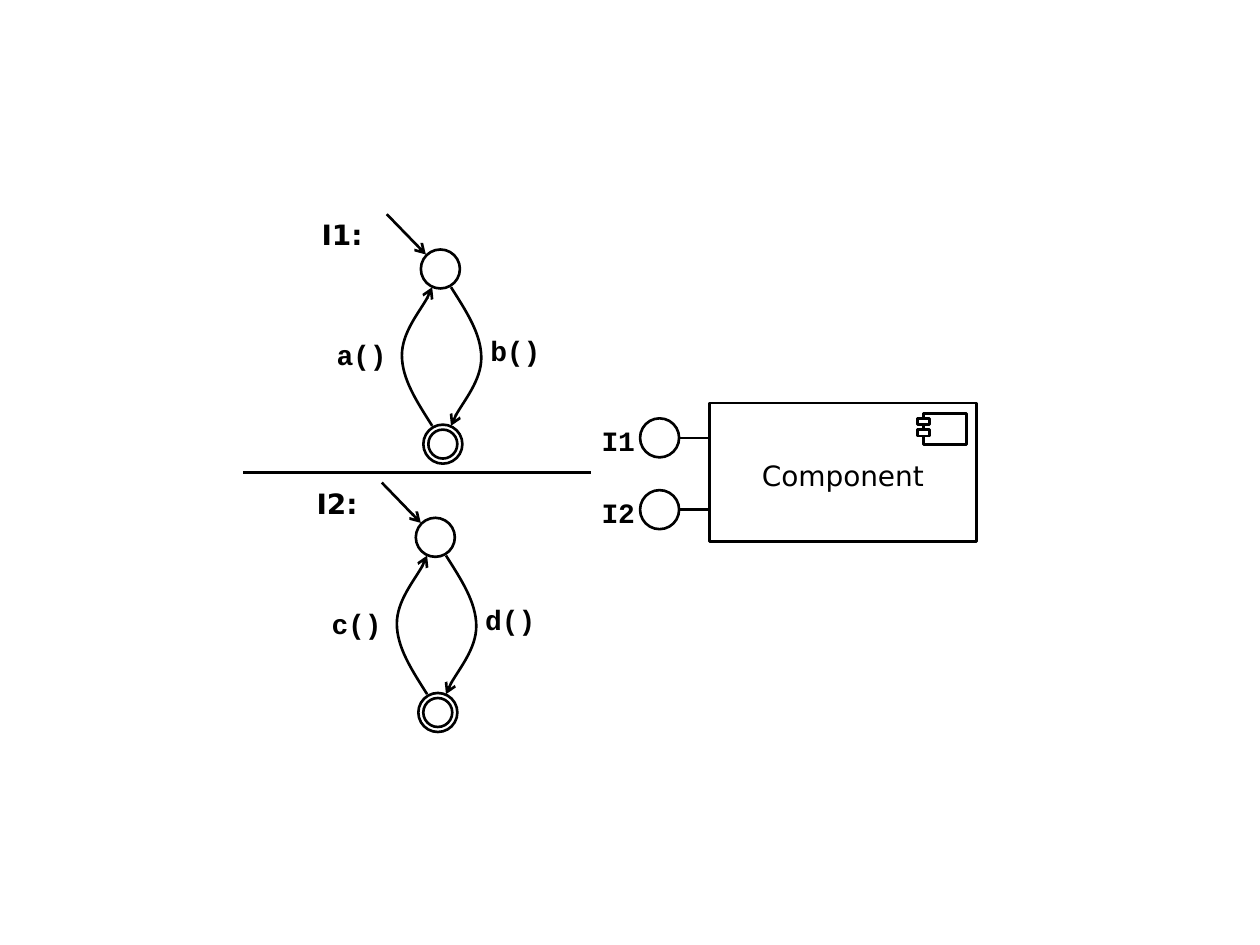
from pptx import Presentation
from pptx.dml.color import RGBColor
from pptx.enum.shapes import MSO_CONNECTOR, MSO_SHAPE
from pptx.enum.text import MSO_ANCHOR, MSO_AUTO_SIZE, PP_ALIGN
from pptx.oxml.ns import qn
from pptx.util import Inches, Pt
from lxml.etree import SubElement

BLACK = RGBColor(0, 0, 0)
WHITE = RGBColor(255, 255, 255)
MONO = "Courier New"
SANS = "DejaVu Sans"
NODE = 0.31
RING = 0.04
ARC = [(0, 0), (0.12, 0.19), (0.24, 0.37), (0.24, 0.56),
       (0.24, 0.74), (0.02, 1.01), (0, 1.1)]


def stroke(item, arrow=False):
    """Give an item the common black line, with an optional arrowhead."""
    item.line.color.rgb = BLACK
    item.line.width = Pt(1.5)
    if arrow:
        SubElement(item.line._get_or_add_ln(), qn("a:tailEnd"), type="arrow")


def shape(slide, kind, x, y, w, h, fill=None, line=True):
    """Add a preset shape without shadow."""
    item = slide.shapes.add_shape(kind, Inches(x), Inches(y), Inches(w), Inches(h))
    item.shadow.inherit = False
    if fill is None:
        item.fill.background()
    else:
        item.fill.solid()
        item.fill.fore_color.rgb = fill
    if line:
        stroke(item)
    else:
        item.line.fill.background()
    return item


def circle(slide, x, y, size=NODE):
    """Add an open circle."""
    return shape(slide, MSO_SHAPE.OVAL, x, y, size, size)


def line(slide, x1, y1, x2, y2, arrow=False):
    """Add a straight connector."""
    item = slide.shapes.add_connector(
        MSO_CONNECTOR.STRAIGHT, Inches(x1), Inches(y1), Inches(x2), Inches(y2))
    stroke(item, arrow)
    SubElement(item._element.spPr, qn("a:effectLst"))


def curve(slide, points):
    """Add a smooth arrow through cubic control points."""
    (x, y), *rest = [(Inches(px), Inches(py)) for px, py in points]
    form = slide.shapes.build_freeform(x, y)
    form.add_line_segments(rest, close=False)
    item = form.convert_to_shape()
    item.shadow.inherit = False
    item.fill.background()
    stroke(item, arrow=True)
    steps = list(item._element.iter(qn("a:lnTo")))
    route = steps[0].getparent()
    for i in range(0, len(steps), 3):
        bend = SubElement(route, qn("a:cubicBezTo"))
        for step in steps[i:i + 3]:
            bend.append(step[0])
            route.remove(step)


def write(frame, text, font=MONO, bold=True, align=PP_ALIGN.RIGHT, before=4, pad=(0, 0)):
    """Fill a text frame with one formatted paragraph."""
    frame.word_wrap = True
    frame.vertical_anchor = MSO_ANCHOR.TOP
    frame.margin_left = frame.margin_right = Inches(pad[0])
    frame.margin_top = frame.margin_bottom = Inches(pad[1])
    para = frame.paragraphs[0]
    para.alignment = align
    para.space_before = Pt(before)
    run = para.add_run()
    run.text = text
    run.font.name = font
    run.font.size = Pt(16)
    run.font.bold = bold
    run.font.color.rgb = BLACK


def label(slide, text, x, y, w=0.51, **style):
    """Add a text box of one line."""
    box = slide.shapes.add_textbox(Inches(x), Inches(y), Inches(w), Inches(0.28))
    write(box.text_frame, text, **style)


def machine(slide, x, y, name, back, forth):
    """Draw a two-state machine with its top left corner at x, y."""
    label(slide, name, x, y + 0.03, 0.71, font=SANS, align=PP_ALIGN.CENTER)
    line(slide, x + 0.71, y, x + 1.02, y + 0.32, arrow=True)
    circle(slide, x + 0.98, y + 0.28)
    top, end = y + 0.58, y + 1.68
    curve(slide, [(x + 1.22 + dx, top + dy) for dx, dy in ARC])
    curve(slide, [(x + 1.07 - dx, end - dy) for dx, dy in ARC])
    label(slide, back, x + 0.2, y + 0.98)
    label(slide, forth, x + 1.42, y + 0.95)
    circle(slide, x + 1, y + 1.67)
    circle(slide, x + 1 + RING, y + 1.67 + RING, NODE - 2 * RING)


def port(slide, x, y, name):
    """Draw a named interface whose line ends 1.1 inches right of x."""
    mid = y + NODE / 2
    line(slide, x + 0.86, mid, x + 1.1, mid)
    circle(slide, x + 0.55, y)
    label(slide, name, x, y + 0.04)


def component(slide, x, y, w, h):
    """Draw the component box with its title and icon."""
    rect = MSO_SHAPE.RECTANGLE
    title = shape(slide, rect, x, y + 0.39, w, 0.37, fill=WHITE, line=False)
    write(title.text_frame, "Component", font=SANS, bold=False,
          align=PP_ALIGN.CENTER, before=10, pad=(0.06, 0.05))
    title.text_frame.auto_size = MSO_AUTO_SIZE.SHAPE_TO_FIT_TEXT
    left = x + w - 0.42
    shape(slide, rect, left, y + 0.08, 0.34, 0.25, fill=WHITE)
    for dy in (0.12, 0.21):
        shape(slide, rect, left - 0.05, y + dy, 0.1, 0.05, fill=WHITE)
    shape(slide, rect, x, y, w, h)


def main():
    """Build and save the slide."""
    deck = Presentation()
    deck.slide_width, deck.slide_height = Inches(10), Inches(7.5)
    slide = deck.slides.add_slide(deck.slide_layouts[6])
    machine(slide, 2.36, 1.7, "I1:", "a()", "b()")
    machine(slide, 2.32, 3.83, "I2:", "c()", "d()")
    line(slide, 1.93, 3.75, 4.69, 3.75)
    component(slide, 5.63, 3.2, 2.12, 1.1)
    for i, name in enumerate(("I1", "I2")):
        port(slide, 4.53, 3.32 + i * 0.57, name)
    deck.save("out.pptx")


if __name__ == "__main__":
    main()
